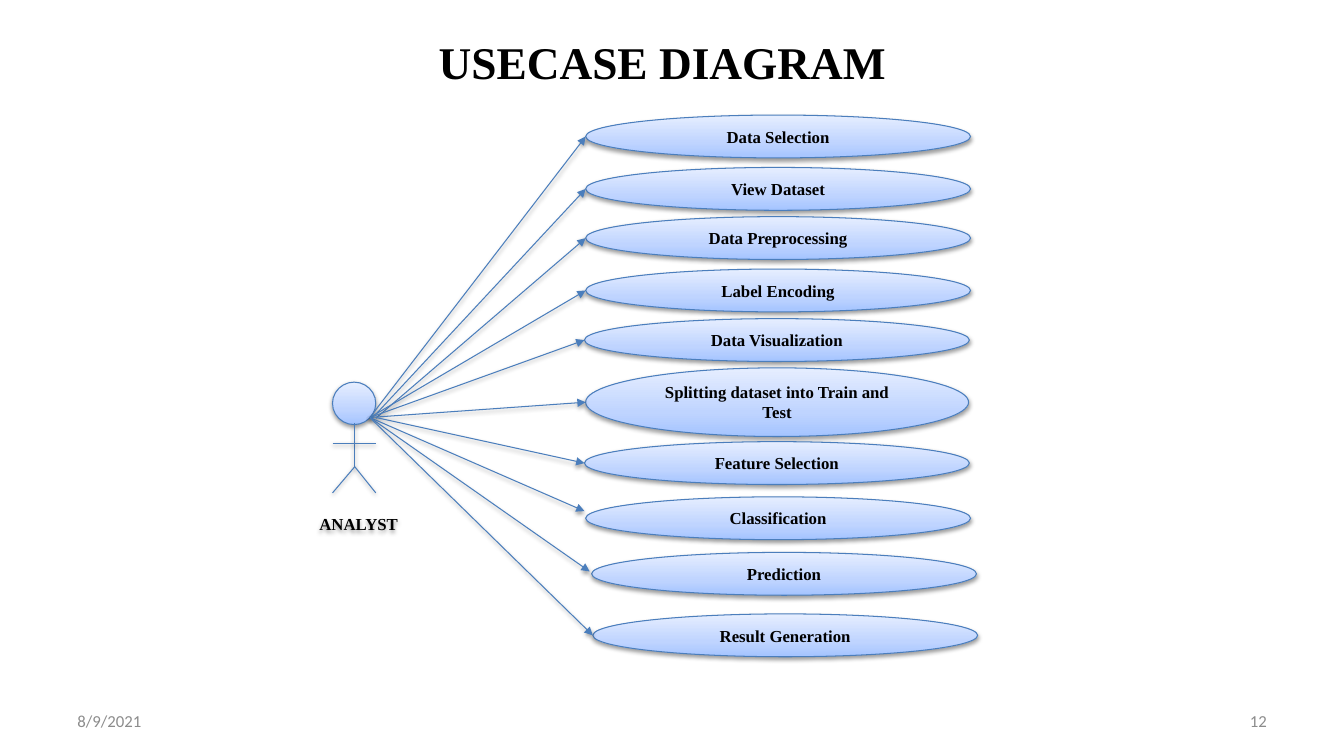
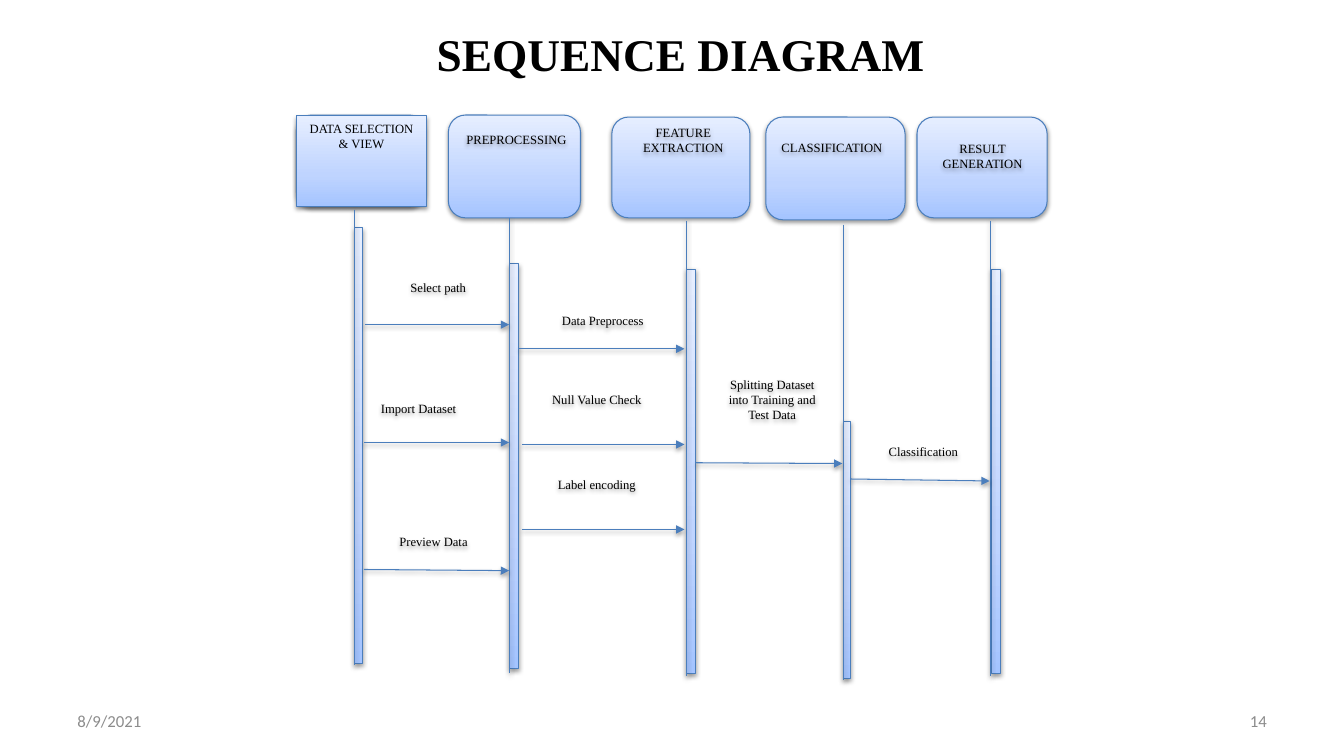
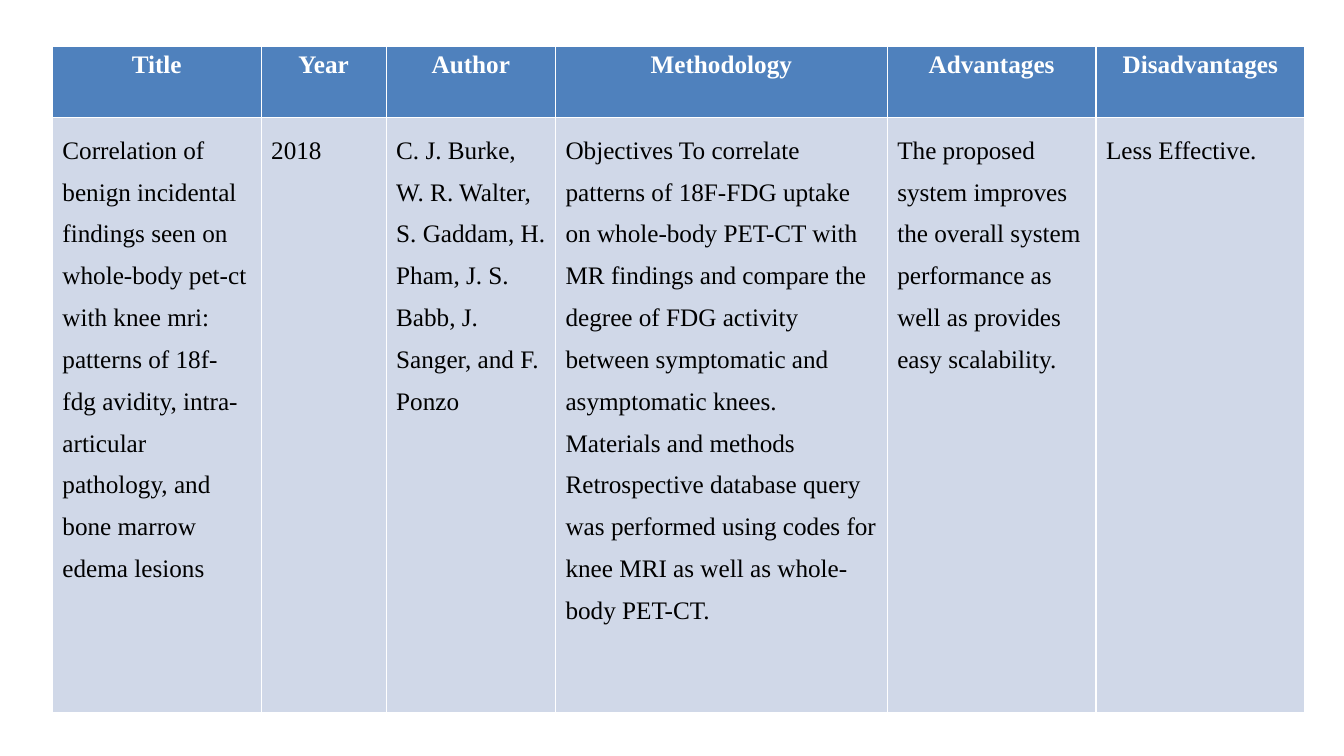
from lxml.etree import SubElement
from copy import deepcopy
from pptx import Presentation
from pptx.dml.color import RGBColor
from pptx.enum.shapes import MSO_CONNECTOR as Link, MSO_SHAPE as Shape
from pptx.enum.text import MSO_ANCHOR as Anchor, PP_ALIGN as Align
from pptx.oxml.ns import qn
from pptx.util import Cm, Pt

BLACK = RGBColor(0x00, 0x00, 0x00)
WHITE = RGBColor(0xFF, 0xFF, 0xFF)
GREY = RGBColor(0x8C, 0x8C, 0x8C)
EDGE = RGBColor(0x4B, 0x7E, 0xBC)
HEAD = RGBColor(0x4F, 0x81, 0xBD)
BODY = RGBColor(0xD0, 0xD8, 0xE8)
FADE = [
    (0, RGBColor(0xA4, 0xC4, 0xFF)),
    (0.35, RGBColor(0xBF, 0xD4, 0xFF)),
    (1, RGBColor(0xE6, 0xEE, 0xFF)),
]
SERIF = "Times New Roman"
SANS = "Calibri"

# Use case, left, top, width, height
CASES = [
    ("Data Selection", 14.76, 2.9, 9.7, 1.08),
    ("View Dataset", 14.76, 4.22, 9.7, 1.08),
    ("Data Preprocessing", 14.76, 5.46, 9.7, 1.08),
    ("Label Encoding", 14.76, 6.78, 9.7, 1.08),
    ("Data Visualization", 14.73, 8.03, 9.7, 1.08),
    ("Splitting dataset into Train and Test", 14.76, 9.27, 9.65, 1.73),
    ("Feature Selection", 14.73, 11.13, 9.7, 1.08),
    ("Classification", 14.76, 12.52, 9.7, 1.08),
    ("Prediction", 14.91, 13.92, 9.7, 1.08),
    ("Result Generation", 14.94, 15.47, 9.7, 1.08),
]
HUB = (9.32, 10.52)
# Arrows that leave the analyst beside the hub
STARTS = {
    "View Dataset": (9.47, 10.44),
    "Data Preprocessing": (9.47, 10.54),
    "Feature Selection": (9.47, 10.52),
}
# Arrows that stop short of the oval's left point
TIPS = {"Classification": (14.73, 12.88), "Prediction": (14.86, 14.4)}
LIMBS = [
    (8.94, 10.67, 8.94, 11.76),
    (8.94, 11.76, 8.38, 12.42),
    (8.94, 11.76, 9.47, 12.42),
    (8.38, 11.18, 9.47, 11.18),
]

# Box, name, name area, lifeline x and top, bar
LANES = [
    ((7.47, 2.9, 3.23, 2.31), "DATA SELECTION & VIEW", None,
     (8.94, 5.28), (8.94, 5.74, 0.2, 10.97)),
    ((11.3, 2.9, 3.33, 2.59), "PREPROCESSING", (11.4, 3.2, 3.23, 1.98),
     (12.83, 5.49), (12.85, 6.65, 0.23, 10.19)),
    ((15.42, 2.95, 3.48, 2.54), "FEATURE EXTRACTION", (15.34, 3.02, 3.76, 2.39),
     (17.3, 5.56), (17.3, 6.78, 0.23, 10.19)),
    ((19.3, 2.95, 3.51, 2.59), "CLASSIFICATION", (18.97, 3.4, 3.99, 1.75),
     (21.26, 5.66), (21.26, 10.62, 0.18, 6.48)),
    ((23.11, 2.95, 3.28, 2.54), "RESULT GENERATION", (23.11, 3.43, 3.3, 1.85),
     (24.97, 5.56), (24.99, 6.78, 0.23, 10.19)),
]
LIFE = 11.48
FRONT = (7.47, 2.92, 3.28, 2.29)

# Message, text area, arrow ends, alignment
CALLS = [
    ("Select path", (9.42, 6.93, 3.25, 3.66), (9.19, 8.18, 12.83, 8.18), Align.CENTER),
    ("Import Dataset", (9.35, 9.98, 3.25, 2.59), (9.17, 11.15, 12.83, 11.15), Align.LEFT),
    ("Preview Data", (9.3, 13.34, 3.25, 2.59), (9.17, 14.35, 12.83, 14.38), Align.CENTER),
    ("Data Preprocess", (13.21, 7.77, 3.96, 0.79), (13.06, 8.79, 17.25, 8.79), Align.CENTER),
    ("Null Value Check", (13.06, 9.75, 3.96, 1.35), (13.16, 11.2, 17.25, 11.2), Align.CENTER),
    ("Label encoding", (13.06, 11.89, 3.96, 1.35), (13.16, 13.34, 17.25, 13.34), Align.CENTER),
    ("Splitting Dataset into Training and Test Data", (17.91, 9.37, 3.1, 1.75),
     (17.53, 11.66, 21.23, 11.68), Align.CENTER),
    ("Classification", (21.62, 11.07, 3.3, 0.61), (21.44, 12.07, 24.94, 12.12), Align.CENTER),
]

# Heading, column width, entry
PAPER = [
    ("Title", 5.26, "Correlation of benign incidental findings seen on whole-body pet-ct "
     "with knee mri: patterns of 18f-fdg avidity, intra-articular pathology, "
     "and bone marrow edema lesions"),
    ("Year", 3.15, "2018"),
    ("Author", 4.27, "C. J. Burke, W. R. Walter, S. Gaddam, H. Pham, J. S. Babb, "
     "J. Sanger, and F. Ponzo"),
    ("Methodology", 8.36, "Objectives To correlate patterns of 18F-FDG uptake on whole-body "
     "PET-CT with MR findings and compare the degree of FDG activity between symptomatic "
     "and asymptomatic knees. Materials and methods Retrospective database query was "
     "performed using codes for knee MRI as well as whole-body PET-CT."),
    ("Advantages", 5.26, "The proposed system improves the overall system performance "
     "as well as provides easy scalability."),
    ("Disadvantages", 5.26, "Less Effective."),
]


def lengths(values):
    return [Cm(v) for v in values]


def write(frame, text, size, bold=False, color=BLACK, face=SERIF, align=Align.CENTER):
    frame.word_wrap = True
    para = frame.paragraphs[0]
    para.text = text
    para.alignment = align
    font = para.font
    font.name, font.size, font.bold = face, Pt(size), bold
    font.color.rgb = color
    return para


def shade(item):
    """Add a soft shadow below; call after fill and line are set."""
    fx = SubElement(item.element.spPr, qn("a:effectLst"))
    drop = SubElement(fx, qn("a:outerShdw"), blurRad="40000", dist="20000",
                      dir="5400000", rotWithShape="0")
    tint = SubElement(drop, qn("a:srgbClr"), val="000000")
    SubElement(tint, qn("a:alpha"), val="38000")


def outline(item):
    item.line.color.rgb = EDGE
    item.line.width = Pt(0.75)


def label(slide, area, text, size, anchor=Anchor.TOP, shadow=False, **style):
    box = slide.shapes.add_textbox(*lengths(area))
    box.text_frame.vertical_anchor = anchor
    write(box.text_frame, text, size, **style)
    if shadow:
        shade(box)


def block(slide, kind, area):
    """Draw a shape with the blue gradient, outline and shadow."""
    item = slide.shapes.add_shape(kind, *lengths(area))
    item.fill.gradient()
    item.fill.gradient_angle = 90
    stops = item.element.spPr.find(".//" + qn("a:gsLst"))
    stops.insert(1, deepcopy(stops[0]))
    for stop, (place, color) in zip(item.fill.gradient_stops, FADE):
        stop.position = place
        stop.color.rgb = color
    outline(item)
    shade(item)
    return item


def line(slide, ends, arrow=False):
    item = slide.shapes.add_connector(Link.STRAIGHT, *lengths(ends))
    outline(item)
    if arrow:
        SubElement(item.element.spPr.find(qn("a:ln")), qn("a:tailEnd"), type="triangle")
    shade(item)


def start(deck, title, left, top, number):
    """Add a slide with its title, date and number."""
    slide = deck.slides.add_slide(deck.slide_layouts[6])
    label(slide, (left, top, 27.94, 1.75), title, 32.4, Anchor.MIDDLE, bold=True)
    for x, text, align in ((1.7, "8/9/2021", Align.LEFT), (24.28, number, Align.RIGHT)):
        label(slide, (x, 17.65, 7.9, 1.02), text, 12, Anchor.MIDDLE,
              color=GREY, face=SANS, align=align)
    return slide


def usecase(deck):
    slide = start(deck, "USECASE DIAGRAM", 2.72, 0.66, "12")
    block(slide, Shape.OVAL, (8.38, 9.63, 1.09, 1.07))
    for limb in LIMBS:
        line(slide, limb)
    label(slide, (7.49, 12.83, 3.1, 0.76), "ANALYST", 12, shadow=True, bold=True)
    for text, left, top, width, height in CASES:
        oval = block(slide, Shape.OVAL, (left, top, width, height))
        oval.text_frame.vertical_anchor = Anchor.MIDDLE
        write(oval.text_frame, text, 12, bold=True)
        tip = TIPS.get(text, (left, top + height / 2))
        line(slide, STARTS.get(text, HUB) + tip, arrow=True)


def sequence(deck):
    slide = start(deck, "SEQUENCE DIAGRAM", 3.18, 0.48, "14")
    for box, name, area, (x, top), bar in LANES:
        block(slide, Shape.ROUNDED_RECTANGLE, box)
        if area:
            label(slide, area, name, 9, shadow=True)
        else:
            front = block(slide, Shape.RECTANGLE, FRONT)
            front.text_frame.vertical_anchor = Anchor.TOP
            write(front.text_frame, name, 9)
        block(slide, Shape.RECTANGLE, bar)
        line(slide, (x, top, x, top + LIFE))
    for text, area, ends, align in CALLS:
        line(slide, ends, arrow=True)
        label(slide, area, text, 9, shadow=True, align=align)


def paint(cell, color):
    cell.fill.solid()
    cell.fill.fore_color.rgb = color


def survey(deck):
    """Add the literature table."""
    slide = deck.slides.add_slide(deck.slide_layouts[6])
    area = lengths((1.32, 1.17, sum(width for _, width, _ in PAPER), 16.79))
    table = slide.shapes.add_table(2, len(PAPER), *area).table
    table.rows[0].height, table.rows[1].height = lengths((1.8, 14.99))
    for col, (head, width, entry) in enumerate(PAPER):
        table.columns[col].width = Cm(width)
        top, low = table.cell(0, col), table.cell(1, col)
        paint(top, HEAD)
        paint(low, BODY)
        write(top.text_frame, head, 18, bold=True, color=WHITE)
        write(low.text_frame, entry, 18, align=Align.LEFT).line_spacing = 1.5


def main():
    deck = Presentation()
    deck.slide_width, deck.slide_height = lengths((33.87, 19.05))
    usecase(deck)
    sequence(deck)
    survey(deck)
    deck.save("out.pptx")


if __name__ == "__main__":
    main()
